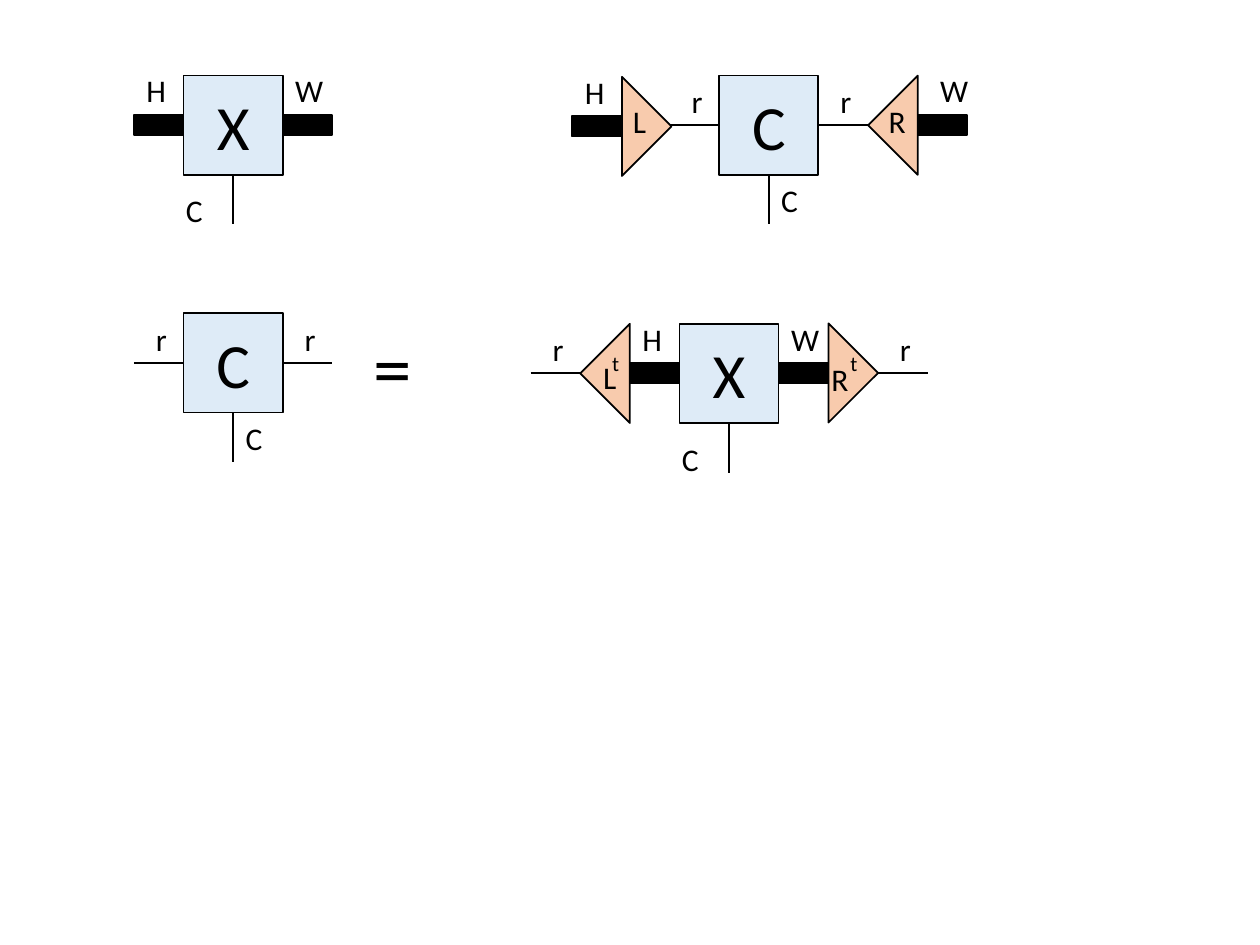
from pptx import Presentation
from pptx.dml.color import RGBColor
from pptx.enum.shapes import MSO_CONNECTOR as CONN, MSO_SHAPE as SHAPE
from pptx.enum.text import MSO_ANCHOR as ANCHOR, MSO_AUTO_SIZE as AUTO, PP_ALIGN as ALIGN
from pptx.oxml.ns import qn
from pptx.util import Pt
from lxml.etree import SubElement

COLORS = {"ink": "000000", "tensor": "DEEBF7", "projector": "F8CBAD"}
FONT = "Calibri"
NODE = 56.7          # side of a tensor
HALF = NODE / 2      # length of a leg, depth of a projector
BAR = 11.5           # thickness of a wide leg
WIDTHS = {"H": 26, "W": 30.8, "C": 24.6, "L": 22.4, "R": 24.5,
          "r": 20.9, "t": 18.6, "=": 36.7}
HEIGHTS = {12: 21.8, 18: 29.1, 44: 60.6}


def rgb(name):
    """Return a named colour."""
    return RGBColor.from_string(COLORS[name])


def add_run(p, text, size):
    """Append one run in the slide's font."""
    r = p.add_run()
    r.text = text
    r.font.name, r.font.size = FONT, Pt(size)
    r.font.color.rgb = rgb("ink")


def label(s, text, left, top, size=18, align=None):
    """Place a short unwrapped label."""
    tb = s.shapes.add_textbox(Pt(left), Pt(top), Pt(WIDTHS[text]), Pt(HEIGHTS[size]))
    tf = tb.text_frame
    tf.word_wrap, tf.auto_size = False, AUTO.SHAPE_TO_FIT_TEXT
    p = tf.paragraphs[0]
    if align is not None:
        p.alignment = align
    add_run(p, text, size)


def block(s, kind, left, top, width, height, fill, rotation=0):
    """Draw a filled, outlined shape."""
    sp = s.shapes.add_shape(kind, Pt(left), Pt(top), Pt(width), Pt(height))
    sp.shadow.inherit = False
    sp.rotation = rotation
    sp.fill.solid()
    sp.fill.fore_color.rgb = rgb(fill)
    sp.line.color.rgb = rgb("ink")
    sp.line.width = Pt(1)
    return sp


def line(s, x1, y1, x2, y2):
    """Draw a thin leg."""
    cx = s.shapes.add_connector(CONN.STRAIGHT, Pt(x1), Pt(y1), Pt(x2), Pt(y2))
    cx.line.color.rgb = rgb("ink")
    cx.line.width = Pt(1)
    SubElement(cx._element.spPr, qn("a:effectLst"))


def side_leg(s, text, edge, top, side, shift=0):
    """Attach a labelled leg to an edge; rank r is thin, H and W are wide."""
    thin, left_side = text == "r", side == "left"
    start = edge - HALF if left_side else edge
    if thin:
        line(s, start, top + HALF, start + HALF, top + HALF)
        label(s, text, edge + (-22.9 if left_side else 5.4), top)
    else:
        block(s, SHAPE.RECTANGLE, start, top + HALF - BAR / 2, HALF, BAR, "ink")
        label(s, text, start + shift, top - 5.9)


def tensor(s, name, left, top, legs=()):
    """Draw a tensor with its channel leg and the given (left, right) legs."""
    sp = block(s, SHAPE.RECTANGLE, left, top, NODE, NODE, "tensor")
    sp.text_frame.vertical_anchor = ANCHOR.MIDDLE
    p = sp.text_frame.paragraphs[0]
    p.alignment = ALIGN.CENTER
    add_run(p, name, 36)
    for text, side, edge in zip(legs, ("left", "right"), (left, left + NODE)):
        side_leg(s, text, edge, top, side)
    line(s, left + HALF, top + NODE, left + HALF, top + NODE + HALF)
    dx, dy = (-5.7, 62.6) if name == "X" else (HALF, NODE)
    label(s, "C", left + dx, top + dy)


def projector(s, name, left, top, points, leg, side, name_at, t_at=None, shift=0):
    """Draw a triangle in the box at left, top, with its outer leg and name."""
    block(s, SHAPE.ISOSCELES_TRIANGLE, left - HALF / 2, top + HALF / 2, NODE, HALF,
          "projector", 90 if points == "right" else 270)
    if leg:
        side_leg(s, leg, left if side == "left" else left + HALF, top, side, shift)
    label(s, name, left + name_at[0], top + name_at[1],
          align=None if t_at else ALIGN.CENTER)
    if t_at:
        label(s, "t", left + t_at[0], top + t_at[1], 12)


def decomposition(s, left, top):
    """Draw the input tensor and its factored form."""
    tensor(s, "X", left, top, "HW")
    tensor(s, "C", left + 306.1, top, "rr")
    projector(s, "L", left + 250.5, top + 0.7, "right", "H", "left", (-1.2, 10.9))
    projector(s, "R", left + 391.2, top, "left", "W", "right", (4.3, 11.4), shift=5.7)


def core_equation(s, left, top):
    """Draw the core tensor as the input between transposed projectors."""
    tensor(s, "C", left, top, "rr")
    label(s, "=", left + 101.7, top + 0.2, 44)
    tensor(s, "X", left + 283.4, top + 5.9, "HW")
    projector(s, "L", left + 226.7, top + 5.9, "left", "r", "left", (6, 15.8), (11.1, 11.5))
    projector(s, "R", left + 368.5, top + 5.7, "right", "r", "right", (-5.4, 17.3), (5.4, 12.2))


prs = Presentation()
prs.slide_width, prs.slide_height = Pt(720), Pt(540)
slide = prs.slides.add_slide(prs.slide_layouts[6])
decomposition(slide, 104.9, 43.2)
core_equation(slide, 104.9, 179.1)
prs.save("out.pptx")
